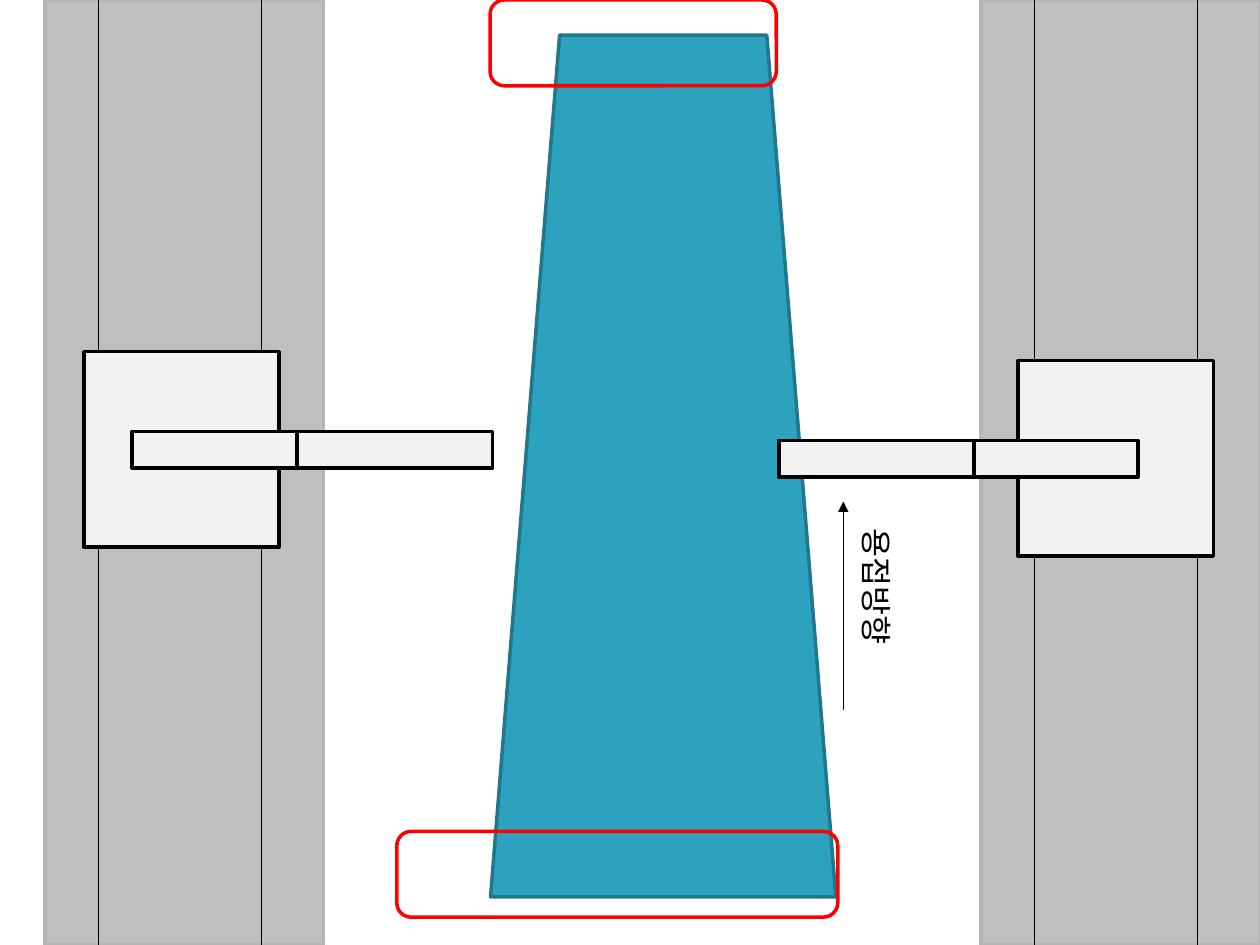
import pptx
import pptx.util
import pptx.dml.color
import pptx.enum.shapes
import pptx.enum.text
import pptx.oxml.ns
import lxml.etree

Cm = pptx.util.Cm
Pt = pptx.util.Pt
MSO_SHAPE = pptx.enum.shapes.MSO_SHAPE
qn = pptx.oxml.ns.qn

SLIDE_WIDTH, SLIDE_HEIGHT = 25.4, 19.05
FONT = "Noto Sans CJK KR"


def color(hex_value):
    return pptx.dml.color.RGBColor.from_string(hex_value)


def add_outlined(slide, kind, box, fill, outline):
    shape = slide.shapes.add_shape(kind, *(Cm(length) for length in box))
    shape.shadow.inherit = False
    if fill:
        shape.fill.solid()
        shape.fill.fore_color.rgb = color(fill)
    else:
        shape.fill.background()
    shape.line.color.rgb = color(outline)
    shape.line.width = Pt(2)
    return shape


def add_line(slide, start, end):
    line = slide.shapes.add_connector(
        pptx.enum.shapes.MSO_CONNECTOR.STRAIGHT,
        *(Cm(length) for length in (*start, *end)))
    line.line.color.rgb = color("000000")
    line.line.width = Pt(0.75)
    lxml.etree.SubElement(line.element.spPr, qn("a:effectLst"))
    return line


def add_track(slide, box):
    left, top, width, height = box
    add_outlined(slide, MSO_SHAPE.RECTANGLE, box, "BFBFBF", "B5B5B5")
    for rail_offset in (1.08, 4.36):
        rail_x = left + rail_offset
        add_line(slide, (rail_x, top), (rail_x, top + height))


def add_workpiece(slide, box):
    left, top, width, height = box
    plate = add_outlined(slide, MSO_SHAPE.FLOWCHART_MANUAL_OPERATION,
                         (left + 1.89, top + 0.71, 6.96, 17.37),
                         "2DA2BF", "21788D")
    plate.element.spPr.xfrm.set("flipV", "1")
    mark_height = 1.73
    for mark_left, mark_top, mark_width in (
            (left + 1.88, top, 5.77),
            (left, top + height - mark_height, width)):
        add_outlined(slide, MSO_SHAPE.ROUNDED_RECTANGLE,
                     (mark_left, mark_top, mark_width, mark_height),
                     None, "FF0000")


def add_welding_direction(slide, box):
    left, top, width, height = box
    arrow = add_line(slide, (left, top + height), (left, top))
    tail = lxml.etree.SubElement(arrow.line._get_or_add_ln(), qn("a:tailEnd"))
    tail.set("type", "triangle")

    label_width, label_height = 3.99, 1.02
    label = slide.shapes.add_textbox(
        Cm(left + width - (label_width + label_height) / 2), Cm(top + 1.78),
        Cm(label_width), Cm(label_height))
    label.rotation = 90
    frame = label.text_frame
    frame.text = "용접방향"
    frame.word_wrap = True
    frame.auto_size = pptx.enum.text.MSO_AUTO_SIZE.SHAPE_TO_FIT_TEXT
    font = frame.paragraphs[0].runs[0].font
    font.size = Pt(18)
    font.name = FONT
    font.color.rgb = color("000000")
    east_asian = lxml.etree.SubElement(font._element, qn("a:ea"))
    east_asian.set("typeface", FONT)


def add_robot(slide, box, inner_arm_offset, outer_arm_step):
    left, top, width, height = box
    inner_arm_left = left + inner_arm_offset
    arm_top, arm_height = top + 1.61, 0.74
    for part in (
            box,
            (inner_arm_left, arm_top, width, arm_height),
            (inner_arm_left + outer_arm_step, arm_top, width, arm_height)):
        add_outlined(slide, MSO_SHAPE.RECTANGLE, part, "F2F2F2", "000000")


def main():
    presentation = pptx.Presentation()
    presentation.slide_width = Cm(SLIDE_WIDTH)
    presentation.slide_height = Cm(SLIDE_HEIGHT)
    slide = presentation.slides.add_slide(presentation.slide_layouts[6])

    add_track(slide, (0.91, 0, 5.61, SLIDE_HEIGHT))
    add_workpiece(slide, (8, 0, 8.89, 18.49))
    add_welding_direction(slide, (17, 10.11, 1.18, 4.21))
    add_track(slide, (19.78, 0, 5.61, SLIDE_HEIGHT))
    add_robot(slide, (1.69, 7.09, 3.94, 3.94), 0.97, 3.33)
    add_robot(slide, (20.52, 7.27, 3.94, 3.94), -1.52, -3.3)

    presentation.save("out.pptx")


if __name__ == "__main__":
    main()
